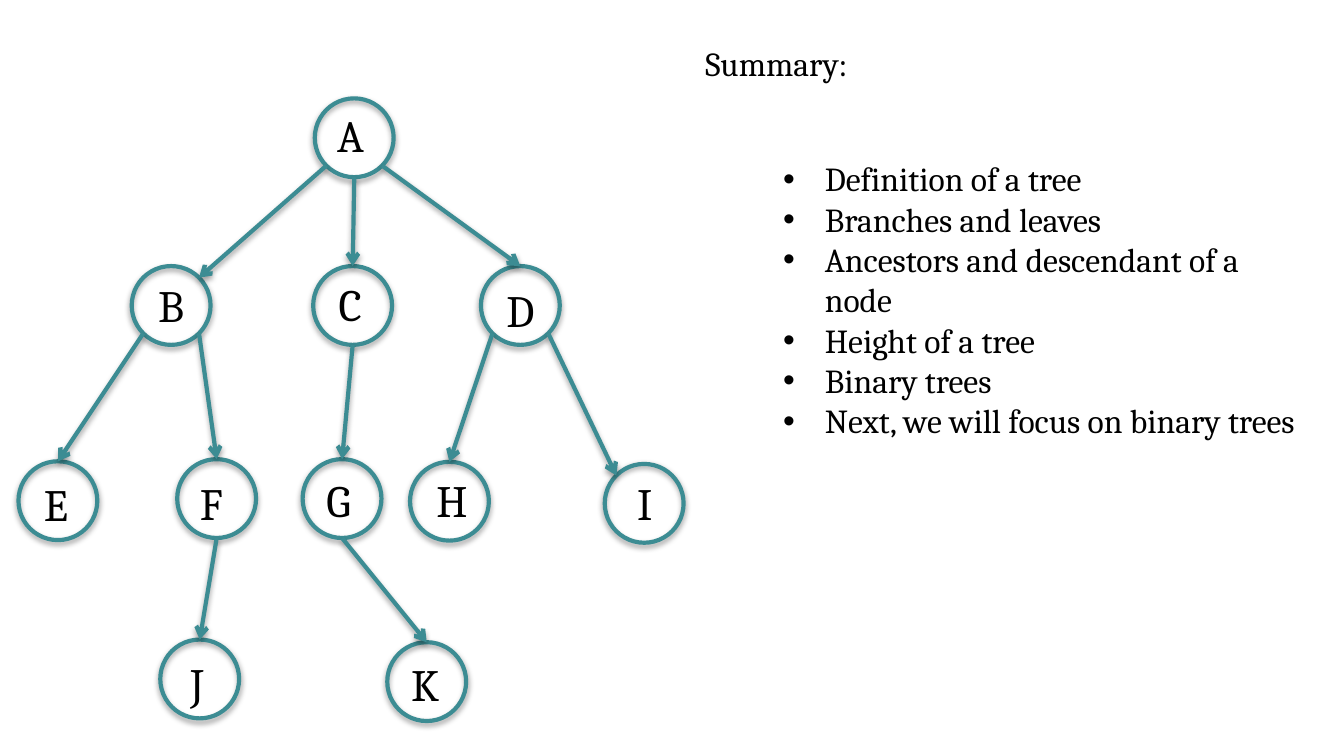
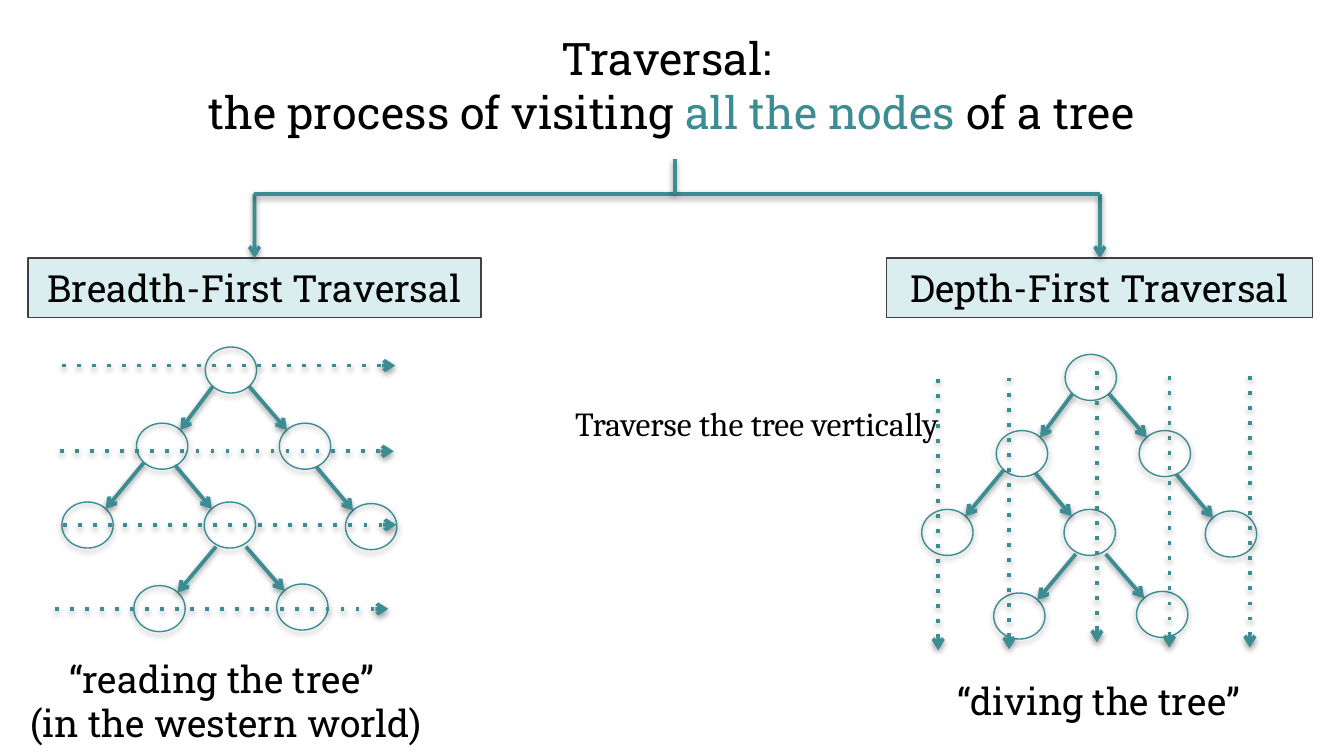
import pptx
import pptx.dml.color
import pptx.enum.shapes
import pptx.enum.text
import pptx.oxml
import pptx.oxml.ns
import pptx.util
from lxml import etree

Cm = pptx.util.Cm
Pt = pptx.util.Pt
RGBColor = pptx.dml.color.RGBColor
ALIGN = pptx.enum.text.PP_ALIGN
SHAPES = pptx.enum.shapes.MSO_SHAPE

TEAL = RGBColor(0x3C, 0x8C, 0x93)
PALE_TEAL = RGBColor(0xDA, 0xED, 0xEF)
DARK_GRAY = RGBColor(0x40, 0x40, 0x40)
BLACK = RGBColor(0, 0, 0)

SERIF = "Cambria"
SLAB = "Roboto Slab"

# Directions from the centre of an ellipse to its outline
DIAGONAL = 0.707
SITES = {
    "top": (0, -1),
    "bottom": (0, 1),
    "top left": (-DIAGONAL, -DIAGONAL),
    "top right": (DIAGONAL, -DIAGONAL),
    "bottom left": (-DIAGONAL, DIAGONAL),
    "bottom right": (DIAGONAL, DIAGONAL),
}

# Lettered tree: node left, node top, letter left, letter top, letter width
NODE_SIZE = (1.49, 1.49)
LETTER_HEIGHT = 1.28
LETTERED_NODES = {
    "A": (5.95, 1.86, 6.12, 1.91, 1.02),
    "B": (2.49, 5.03, 2.74, 5.13, 0.99),
    "C": (5.92, 5.03, 6.15, 5.11, 0.97),
    "D": (9.09, 5.03, 9.32, 5.21, 1.04),
    "E": (0.35, 8.72, 0.58, 8.89, 0.94),
    "F": (3.35, 8.68, 3.53, 8.86, 0.91),
    "G": (5.72, 8.68, 5.92, 8.81, 1.04),
    "H": (7.75, 8.73, 8.0, 8.81, 1.04),
    "I": (11.43, 8.77, 11.79, 8.86, 0.74),
    "J": (3.03, 12.09, 3.35, 12.27, 0.79),
    "K": (7.32, 12.14, 7.52, 12.29, 0.97),
}
LETTERED_EDGES = [
    ("A", "bottom left", "B", "top right"),
    ("A", "bottom", "C", "top"),
    ("A", "bottom right", "D", "top"),
    ("B", "bottom left", "E", "top"),
    ("B", "bottom right", "F", "top"),
    ("C", "bottom", "G", "top"),
    ("D", "bottom left", "H", "top"),
    ("D", "bottom right", "I", "top left"),
    ("F", "bottom", "J", "top"),
    ("G", "bottom", "K", "top"),
]
SUMMARY = [
    "Definition of a tree",
    "Branches and leaves",
    "Ancestors and descendant of a node",
    "Height of a tree",
    "Binary trees",
    "Next, we will focus on binary trees",
]

# Binary tree: node positions, then parent, child, side and start offset
SMALL_NODE_SIZE = (0.97, 0.87)
BINARY_NODES = {
    "root": (3.88, 6.56),
    "left": (2.58, 8.0),
    "right": (5.28, 8.0),
    "left left": (1.17, 9.49),
    "left right": (3.86, 9.49),
    "right right": (6.53, 9.52),
    "inner left": (2.53, 11.07),
    "inner right": (5.23, 11.04),
}
BINARY_EDGES = [
    ("root", "left", "left", (0, 0)),
    ("root", "right", "right", (0, 0)),
    ("left", "left left", "left", (0, 0)),
    ("left", "left right", "right", (-0.1, 0.05)),
    ("right", "right right", "right", (-0.13, 0.08)),
    ("left right", "inner left", "left", (0.08, 0.1)),
    ("left right", "inner right", "right", (-0.04, 0.1)),
]
DEPTH_TREE_OFFSET = (16.25, 0.14)

# Dotted sweep arrows: start x and y
BREADTH_SWEEPS = [(1.17, 6.91), (1.14, 8.53), (1.19, 9.92), (1.04, 11.51)]
DEPTH_SWEEPS = [(17.73, 7.16), (19.07, 7.14), (20.73, 7.01), (22.1, 7.11), (23.62, 7.11)]
BREADTH_SWEEP_LENGTH = 6.3
DEPTH_SWEEP_LENGTH = 5.13


def add_xml(parent, tag, **attributes):
    child = etree.SubElement(parent, pptx.oxml.ns.qn(tag))
    for name, value in attributes.items():
        child.set(name, str(value))
    return child


def add_shadow(shape_properties):
    effects = add_xml(shape_properties, "a:effectLst")
    shadow = add_xml(effects, "a:outerShdw", blurRad=40000, dist=20000,
                     dir=5400000, rotWithShape=0)
    color = add_xml(shadow, "a:srgbClr", val="000000")
    add_xml(color, "a:alpha", val=38000)


def add_line(shapes, start, end, width=2, arrow=True, dotted=False):
    points = [Cm(value) for value in (*start, *end)]
    connector = shapes.add_connector(
        pptx.enum.shapes.MSO_CONNECTOR.STRAIGHT, *points)
    connector.line.color.rgb = TEAL
    connector.line.width = Pt(width)
    line = connector.line._get_or_add_ln()
    if dotted:
        add_xml(line, "a:prstDash", val="dot")
    if arrow:
        add_xml(line, "a:tailEnd", type="arrow")
    add_shadow(connector._element.spPr)
    return connector


def add_node(shapes, position, size, width):
    box = [Cm(value) for value in (*position, *size)]
    node = shapes.add_shape(SHAPES.OVAL, *box)
    node.fill.background()
    node.line.color.rgb = TEAL
    node.line.width = Pt(width)
    add_shadow(node._element.spPr)


def node_point(position, size, site):
    """Point on the outline of a node."""
    return tuple(corner + extent / 2 * (1 + direction)
                 for corner, extent, direction in zip(position, size, SITES[site]))


def shift(point, offset):
    return point[0] + offset[0], point[1] + offset[1]


def write_text(shape, paragraphs, font=SERIF, size=18, align=ALIGN.LEFT,
               wrap=False, bullet=False):
    """Write paragraphs, each a string or a list of (text, colour) runs."""
    frame = shape.text_frame
    frame.word_wrap = wrap
    frame.auto_size = pptx.enum.text.MSO_AUTO_SIZE.SHAPE_TO_FIT_TEXT
    for index, content in enumerate(paragraphs):
        paragraph = frame.add_paragraph() if index else frame.paragraphs[0]
        paragraph.alignment = align
        if bullet:
            properties = paragraph._p.get_or_add_pPr()
            properties.set("marL", str(Cm(0.79)))
            properties.set("indent", str(-Cm(0.79)))
            add_xml(properties, "a:buFont", typeface="Arial")
            add_xml(properties, "a:buChar", char="•")
        runs = [(content, BLACK)] if isinstance(content, str) else content
        for text, color in runs:
            run = paragraph.add_run()
            run.text = text
            run.font.name = font
            run.font.size = Pt(size)
            run.font.color.rgb = color


def add_text(shapes, box, paragraphs, **text_format):
    shape = shapes.add_textbox(*[Cm(value) for value in box])
    write_text(shape, paragraphs, **text_format)


def add_heading(shapes, box, text):
    heading = shapes.add_shape(SHAPES.RECTANGLE, *[Cm(value) for value in box])
    heading.shadow.inherit = False
    heading.fill.solid()
    heading.fill.fore_color.rgb = PALE_TEAL
    heading.line.color.rgb = DARK_GRAY
    heading.line.width = Pt(0.75)
    write_text(heading, [text], font=SLAB, size=20, align=ALIGN.CENTER, wrap=True)
    return heading


def add_binary_tree(shapes, offset=(0, 0)):
    positions = {name: shift(position, offset)
                 for name, position in BINARY_NODES.items()}
    for position in positions.values():
        add_node(shapes, position, SMALL_NODE_SIZE, 0.75)
    for parent, child, side, start_offset in BINARY_EDGES:
        opposite = "right" if side == "left" else "left"
        start = node_point(positions[parent], SMALL_NODE_SIZE, "bottom " + side)
        end = node_point(positions[child], SMALL_NODE_SIZE, "top " + opposite)
        add_line(shapes, shift(start, start_offset), end)


def add_sweeps(shapes, starts, step):
    for start in starts:
        add_line(shapes, start, shift(start, step), dotted=True)


def build_summary_slide(slide):
    shapes = slide.shapes
    # Tree
    for x, y, *_ in LETTERED_NODES.values():
        add_node(shapes, (x, y), NODE_SIZE, 2.25)
    for parent, start_site, child, end_site in LETTERED_EDGES:
        start = node_point(LETTERED_NODES[parent][:2], NODE_SIZE, start_site)
        end = node_point(LETTERED_NODES[child][:2], NODE_SIZE, end_site)
        add_line(shapes, start, end, width=2.25)
    for letter, (_, _, x, y, width) in LETTERED_NODES.items():
        add_text(shapes, (x, y, width, LETTER_HEIGHT), [letter], size=24)
    # Summary list
    add_text(shapes, (13.08, 0.69, 3.35, 1.02), ["Summary:"])
    add_text(shapes, (14.55, 2.87, 10.52, 6.4), SUMMARY, wrap=True, bullet=True)


def build_traversal_slide(slide):
    shapes = slide.shapes
    slab = {"font": SLAB, "size": 20, "align": ALIGN.CENTER}
    # Headings and the bracket that leads to them
    bar_y = 3.66
    headings = [
        add_heading(shapes, (0.53, 4.88, 8.56, 1.12), "Breadth-First Traversal"),
        add_heading(shapes, (16.76, 4.88, 8.05, 1.12), "Depth-First Traversal"),
    ]
    centers = [(heading.left + heading.width / 2) / Cm(1) for heading in headings]
    for heading, center in zip(headings, centers):
        arrow = add_line(shapes, (center, bar_y), (center, 4.88))
        arrow.end_connect(heading, 0)
    add_line(shapes, (centers[0], bar_y), (centers[1], bar_y), arrow=False)
    add_line(shapes, (12.75, 3.0), (12.75, bar_y), arrow=False)

    # Breadth-first tree
    breadth = shapes.add_group_shape().shapes
    add_text(breadth, (0.28, 12.27, 8.0, 1.96),
             ["“reading the tree” ", "(in the western world)"], **slab)
    add_binary_tree(breadth)
    add_sweeps(breadth, BREADTH_SWEEPS, (BREADTH_SWEEP_LENGTH, 0))

    # Depth-first tree
    depth = shapes.add_group_shape().shapes
    add_text(depth, (17.81, 12.7, 5.92, 1.12), ["“diving the tree”"], **slab)
    add_binary_tree(depth, DEPTH_TREE_OFFSET)
    add_sweeps(depth, DEPTH_SWEEPS, (0, DEPTH_SWEEP_LENGTH))

    # Title and note
    title = [
        "Traversal: ",
        [("the process of visiting ", BLACK), ("all the nodes ", TEAL),
         ("of a tree", BLACK)],
    ]
    add_text(shapes, (0, 0.46, 25.4, 2.31), title, font=SLAB, size=24,
             align=ALIGN.CENTER, wrap=True)
    add_text(shapes, (10.62, 7.49, 7.67, 1.02), ["Traverse the tree vertically"])


def main():
    presentation = pptx.Presentation()
    presentation.slide_width = Cm(25.4)
    presentation.slide_height = Cm(14.29)
    blank = presentation.slide_layouts[6]
    for build in (build_summary_slide, build_traversal_slide):
        build(presentation.slides.add_slide(blank))
    presentation.save("out.pptx")


if __name__ == "__main__":
    main()
